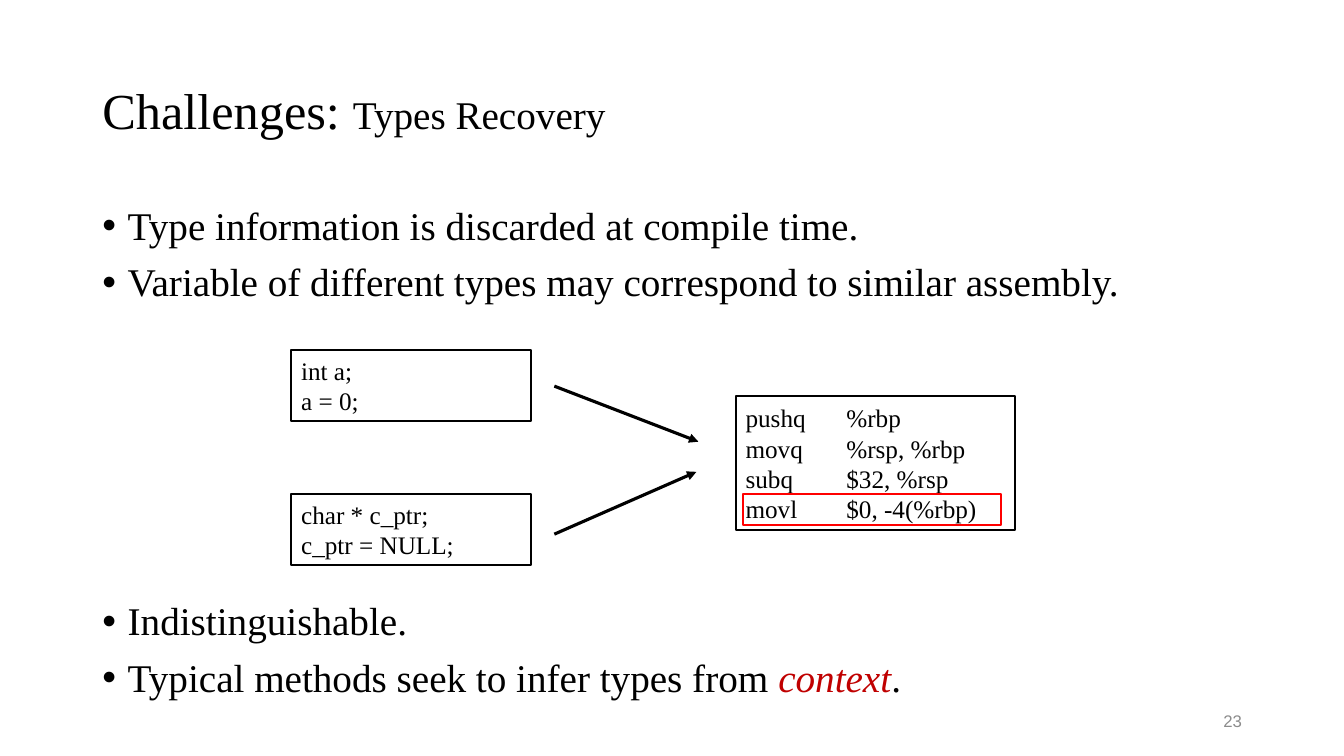
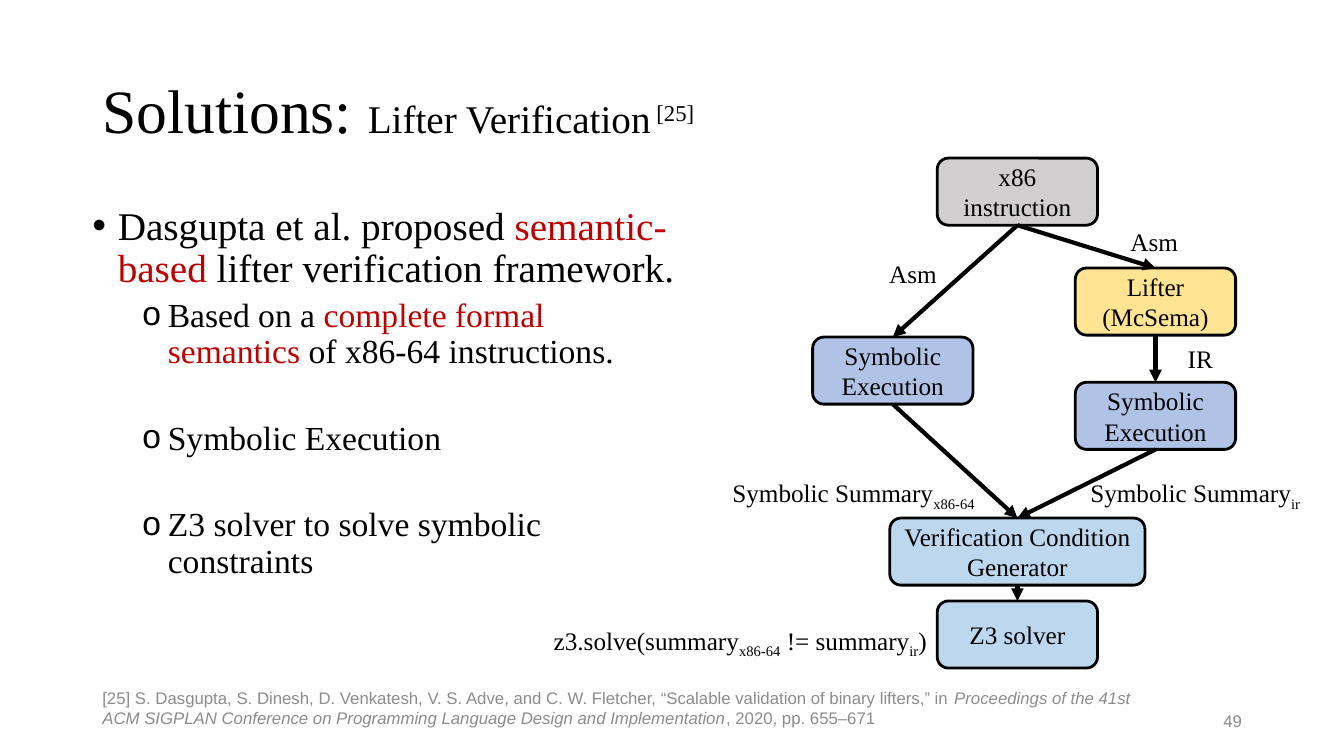
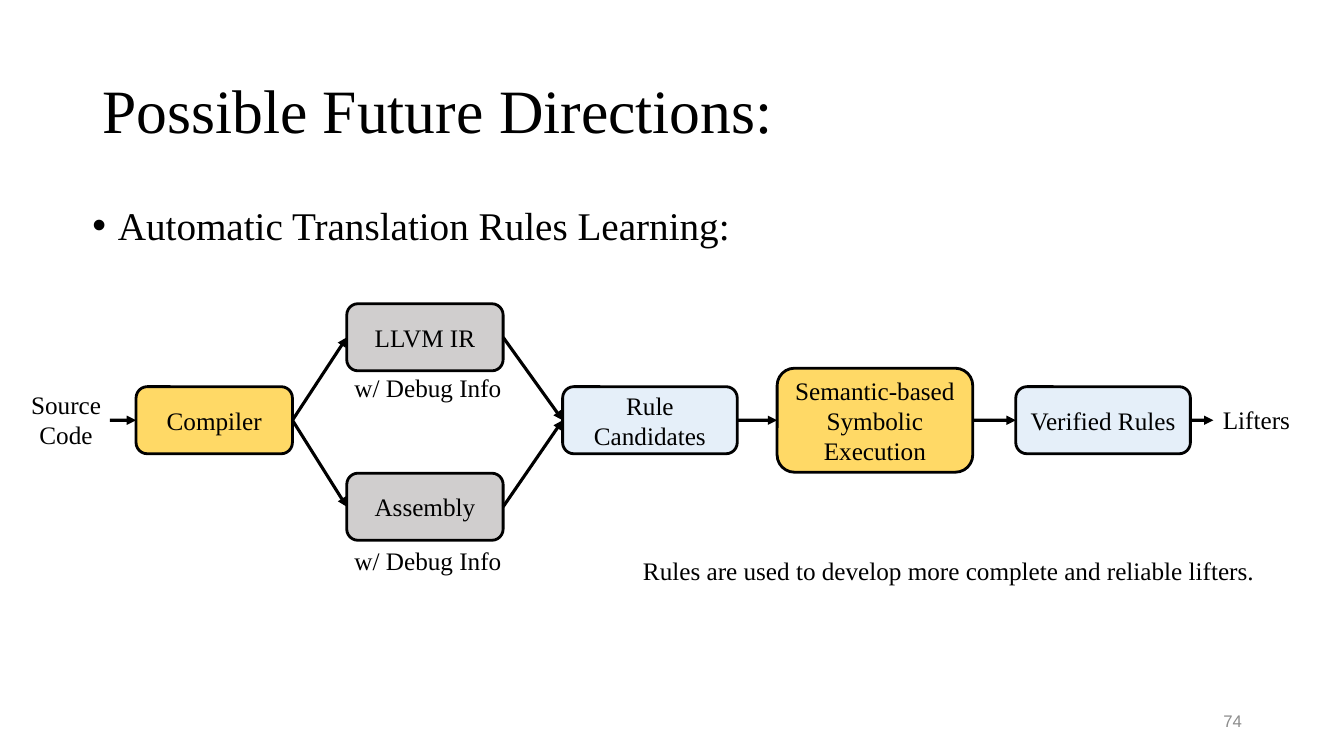
from lxml import etree
from pptx import Presentation
from pptx.dml.color import RGBColor
from pptx.enum.shapes import MSO_CONNECTOR, MSO_SHAPE
from pptx.enum.text import MSO_ANCHOR, PP_ALIGN
from pptx.oxml.ns import qn
from pptx.util import Cm, Pt

RECT, ROUND = MSO_SHAPE.RECTANGLE, MSO_SHAPE.ROUNDED_RECTANGLE
STRAIGHT = MSO_CONNECTOR.STRAIGHT
LEFT, CENTER, RIGHT = PP_ALIGN.LEFT, PP_ALIGN.CENTER, PP_ALIGN.RIGHT
TOP, MIDDLE = MSO_ANCHOR.TOP, MSO_ANCHOR.MIDDLE
N, W, S, E = range(4)  # connection sites of a rectangle

SERIF, SANS = "Times New Roman", "Arial"
BLACK, GRAY, RED, BRIGHT_RED = "000000", "8C8C8C", "C00000", "FF0000"
SILVER, SKY, ICE = "D0CECE", "BDD7EE", "E5EFF9"
YELLOW, BLUE, GOLD = ("FFD966", 70), ("8FAADC", 70), ("FFC000", 60)

TITLE_BOX = (2.33, 1.02, 29.21, 3.68)
NUMBER_BOX = (23.93, 17.65, 7.62, 1.02)
NODE_H, LABEL_H = 1.69, 1.02
HANG = 0.64
BULLETS = [  # sign, left margin, text size, space before
    ("•", HANG, 28, 10),
    ("o", 1.9, 24, 5),
]

# A paragraph is a list of runs; a run is a text or (text, format).
# A bullet is (level, runs) or (level, runs, space before).
SMALL = {"size": 28}
SUB = {"baseline": -25}
ACCENT = {"color": RED}

RECOVERY = {
    "number": 23,
    "title": [("Challenges: ", {"size": 36}), ("Types Recovery", SMALL)],
    "body_box": (2.33, 5.08, 29.21, 12.95),
    "body": [
        (0, ["Type information is discarded at compile time."]),
        (0, ["Variable of different types may correspond to similar assembly."]),
        (0, ["Indistinguishable."], 212),
        (0, ["Typical methods seek to infer types from ",
             ("context", {"color": RED, "italic": True}), "."]),
    ],
}
CODE_BOXES = [
    ((7.34, 8.81, 6.05, 1.8), ["int a;", "a = 0;"]),
    ((7.34, 12.45, 6.05, 1.8), ["char * c_ptr;", "c_ptr = NULL;"]),
    ((18.54, 9.98, 7.04, 3.38), ["pushq\t%rbp", "movq\t%rsp, %rbp",
                                 "subq\t$32, %rsp", "movl\t$0, -4(%rbp)"]),
]
HIGHLIGHT_BOX = (18.72, 12.45, 6.5, 0.79)
CODE_ARROWS = [((13.97, 13.46), (17.55, 11.89)), ((13.97, 9.73), (17.6, 11.13))]

VERIFICATION = {
    "number": 49,
    "title": ["Solutions: ", ("Lifter Verification", SMALL),
              (" [25]", {"size": 28, "baseline": 30})],
    "body_box": (2.08, 5.08, 15.32, 12.09),
    "body": [
        (0, ["Dasgupta et al. proposed ", ("semantic-based", ACCENT),
             " lifter verification framework."]),
        (1, ["Based on a ", ("complete formal semantics", ACCENT),
             " of x86-64 instructions."]),
        (1, ["Symbolic Execution"], 36),
        (1, ["Z3 solver to solve symbolic constraints"], 36),
    ],
}
REFERENCE_BOX = (2.33, 17.32, 27.3, 1.02)
REFERENCE = [
    "[25] S. Dasgupta, S. Dinesh, D. Venkatesh, V. S. Adve, and C. W. Fletcher, "
    "“Scalable validation of binary lifters,” in ",
    ("Proceedings of the 41st ACM SIGPLAN Conference on Programming Language "
     "Design and Implementation", {"italic": True}),
    ", 2020, pp. 655–671",
]
LEFT_X, MID_X, RIGHT_X = 22.5, 25.64, 29.12
VERIFY_NODES = {  # text, centre x, centre y, width, height, fill
    "x86": ("x86 instruction", MID_X, 4.83, 4.04, NODE_H, SILVER),
    "lifter": ("Lifter (McSema)", RIGHT_X, 7.6, 4.04, NODE_H, YELLOW),
    "exec x86": ("Symbolic Execution", LEFT_X, 9.34, 4.04, NODE_H, BLUE),
    "exec ir": ("Symbolic Execution", RIGHT_X, 10.48, 4.04, NODE_H, BLUE),
    "generator": ("Verification Condition Generator", MID_X, 13.9, 6.43, NODE_H, SKY),
    "z3": ("Z3 solver", MID_X, 15.99, 4.04, NODE_H, SKY),
}
VERIFY_ARROWS = [("x86", "lifter"), ("x86", "exec x86"), ("exec x86", "generator"),
                 ("lifter", "exec ir"), ("exec ir", "generator"), ("generator", "z3")]
VERIFY_LABELS = [  # runs, left, top, width
    (["z3.solve(summary", ("x86-64", SUB), " != summary", ("ir", SUB), ")"],
     13.18, 15.62, 10.95),
    (["IR"], 29.41, 8.53, 1.68),
    (["Asm"], 21.97, 6.38, 2.08),
    (["Asm"], 27.97, 5.59, 2.24),
    (["Symbolic Summary", ("x86-64", SUB)], 18.03, 11.91, 6.96),
    (["Symbolic Summary", ("ir", SUB)], 26.64, 11.91, 6.96),
]

DIRECTIONS = {
    "number": 74,
    "title": ["Possible Future Directions:"],
    "body_box": (2.08, 5.08, 28.85, 12.09),
    "body": [(0, ["Automatic Translation Rules Learning:"])],
}
AXIS_Y = 10.59
LEARN_NODES = {
    "compiler": ("Compiler", 5.4, AXIS_Y, 3.94, NODE_H, GOLD),
    "llvm": ("LLVM IR", 10.71, 8.5, 3.94, NODE_H, SILVER),
    "assembly": ("Assembly", 10.71, 12.77, 3.94, NODE_H, SILVER),
    "candidates": ("Rule Candidates", 16.38, AXIS_Y, 4.4, NODE_H, ICE),
    "execution": ("Semantic-based Symbolic Execution", 22.05, AXIS_Y, 4.93, 2.62, GOLD),
    "verified": ("Verified Rules", 27.8, AXIS_Y, 4.4, NODE_H, ICE),
}
LEARN_ARROWS = [((2.77, AXIS_Y), "compiler"), ("compiler", "llvm"),
                ("compiler", "assembly"), ("llvm", "candidates"),
                ("assembly", "candidates"), ("candidates", "execution"),
                ("execution", "verified"), ("verified", (30.58, AXIS_Y))]
LEARN_LABELS = [
    (["w/ Debug Info"], 8.59, 9.25, 4.39),
    (["w/ Debug Info"], 8.59, 13.61, 4.39),
    (["Source Code"], 0.28, 9.68, 2.77),
    (["Lifters"], 30.28, 10.06, 2.77),
    (["Rules are used to develop more complete and reliable lifters."],
     15.44, 13.87, 16.94),
]


def rgb(color):
    return RGBColor.from_string(color)


def add_runs(p, runs, size=18, font=SERIF, color=BLACK):
    for run in runs:
        text, fmt = (run, {}) if isinstance(run, str) else run
        r = p.add_run()
        r.text = text
        r.font.name = font
        r.font.size = Pt(fmt.get("size", size))
        r.font.italic = fmt.get("italic", False)
        r.font.color.rgb = rgb(fmt.get("color", color))
        if "baseline" in fmt:
            r._r.get_or_add_rPr().set("baseline", str(fmt["baseline"] * 1000))


def write(sp, paragraphs, align=LEFT, anchor=MIDDLE, spacing=None, **fmt):
    """Fill a shape with paragraphs and return them."""
    tf = sp.text_frame
    tf.word_wrap = True
    tf.vertical_anchor = anchor
    for i, runs in enumerate(paragraphs):
        p = tf.add_paragraph() if i else tf.paragraphs[0]
        p.alignment = align
        if spacing:
            p.line_spacing = spacing
        add_runs(p, runs, **fmt)
    return tf.paragraphs


def add_textbox(s, box, paragraphs, **fmt):
    return write(s.shapes.add_textbox(*map(Cm, box)), paragraphs, **fmt)


def add_bullet(p, level):
    sign, margin, _, _ = BULLETS[level]
    pPr = p._p.get_or_add_pPr()
    pPr.set("marL", str(Cm(margin)))
    pPr.set("indent", str(-Cm(HANG)))
    etree.SubElement(pPr, qn("a:buFont")).set("typeface", SANS)
    etree.SubElement(pPr, qn("a:buChar")).set("char", sign)


def add_body(s, box, bullets):
    tf = s.shapes.add_textbox(*map(Cm, box)).text_frame
    tf.word_wrap = True
    tf.vertical_anchor = TOP
    for i, (level, runs, *gap) in enumerate(bullets):
        p = tf.add_paragraph() if i else tf.paragraphs[0]
        _, _, size, before = BULLETS[level]
        p.level = level
        add_bullet(p, level)
        p.line_spacing = 0.9
        if i:
            p.space_before = Pt(gap[0] if gap else before)
        add_runs(p, runs, size=size)


def add_slide(prs, content):
    s = prs.slides.add_slide(prs.slide_layouts[6])
    add_textbox(s, TITLE_BOX, [content["title"]], spacing=0.9, size=44)
    add_body(s, content["body_box"], content["body"])
    add_textbox(s, NUMBER_BOX, [[str(content["number"])]], align=RIGHT,
                size=12, font=SANS, color=GRAY)
    return s


def add_box(s, kind, box, fill=None, line=BLACK, width=1.5):
    """Add an outlined shape; fill is a colour or (colour, opacity in percent)."""
    sp = s.shapes.add_shape(kind, *map(Cm, box))
    sp.shadow.inherit = False
    sp.line.color.rgb = rgb(line)
    sp.line.width = Pt(width)
    if fill is None:
        sp.fill.background()
        return sp
    color, opacity = (fill, 100) if isinstance(fill, str) else fill
    sp.fill.solid()
    sp.fill.fore_color.rgb = rgb(color)
    if opacity < 100:
        clr = sp._element.spPr.find(qn("a:solidFill")).find(qn("a:srgbClr"))
        etree.SubElement(clr, qn("a:alpha")).set("val", str(opacity * 1000))
    return sp


def add_arrow(s, start, end, width=2.25):
    c = s.shapes.add_connector(STRAIGHT, *map(Cm, start + end))
    c.line.color.rgb = rgb(BLACK)
    c.line.width = Pt(width)
    etree.SubElement(c.line._get_or_add_ln(), qn("a:tailEnd")).set("type", "triangle")
    etree.SubElement(c._element.spPr, qn("a:effectLst"))
    return c


def add_flow(s, nodes, arrows, labels, sides, width):
    """Draw nodes, arrows from node or point to node or point, and labels."""
    placed = {}
    for name, (text, cx, cy, w, h, fill) in nodes.items():
        sp = add_box(s, ROUND, (cx - w / 2, cy - h / 2, w, h), fill, width=2)
        write(sp, [[text]], align=CENTER)
        placed[name] = sp
    out_side, in_side = sides
    for start, end in arrows:
        points = [nodes[e][1:3] if e in nodes else e for e in (start, end)]
        c = add_arrow(s, *points, width=width)
        if start in placed:
            c.begin_connect(placed[start], out_side)
        if end in placed:
            c.end_connect(placed[end], in_side)
    for runs, x, y, w in labels:
        add_textbox(s, (x, y, w, LABEL_H), [runs], align=CENTER, anchor=TOP)


def add_recovery(prs):
    s = add_slide(prs, RECOVERY)
    for box, lines in CODE_BOXES:
        for p in write(add_box(s, RECT, box), [[line] for line in lines]):
            tabs = etree.SubElement(p._p.get_or_add_pPr(), qn("a:tabLst"))
            etree.SubElement(tabs, qn("a:tab"), pos=str(Cm(2.54)), algn="l")
    add_box(s, RECT, HIGHLIGHT_BOX, line=BRIGHT_RED)
    for start, end in CODE_ARROWS:
        add_arrow(s, start, end)


def add_verification(prs):
    s = add_slide(prs, VERIFICATION)
    add_textbox(s, REFERENCE_BOX, [REFERENCE], size=12, font=SANS, color=GRAY)
    add_flow(s, VERIFY_NODES, VERIFY_ARROWS, VERIFY_LABELS, (S, N), 3)


def add_directions(prs):
    s = add_slide(prs, DIRECTIONS)
    add_flow(s, LEARN_NODES, LEARN_ARROWS, LEARN_LABELS, (E, W), 2.25)


def main():
    prs = Presentation()
    prs.slide_width, prs.slide_height = Cm(33.87), Cm(19.05)
    add_recovery(prs)
    add_verification(prs)
    add_directions(prs)
    prs.save("out.pptx")


if __name__ == "__main__":
    main()
